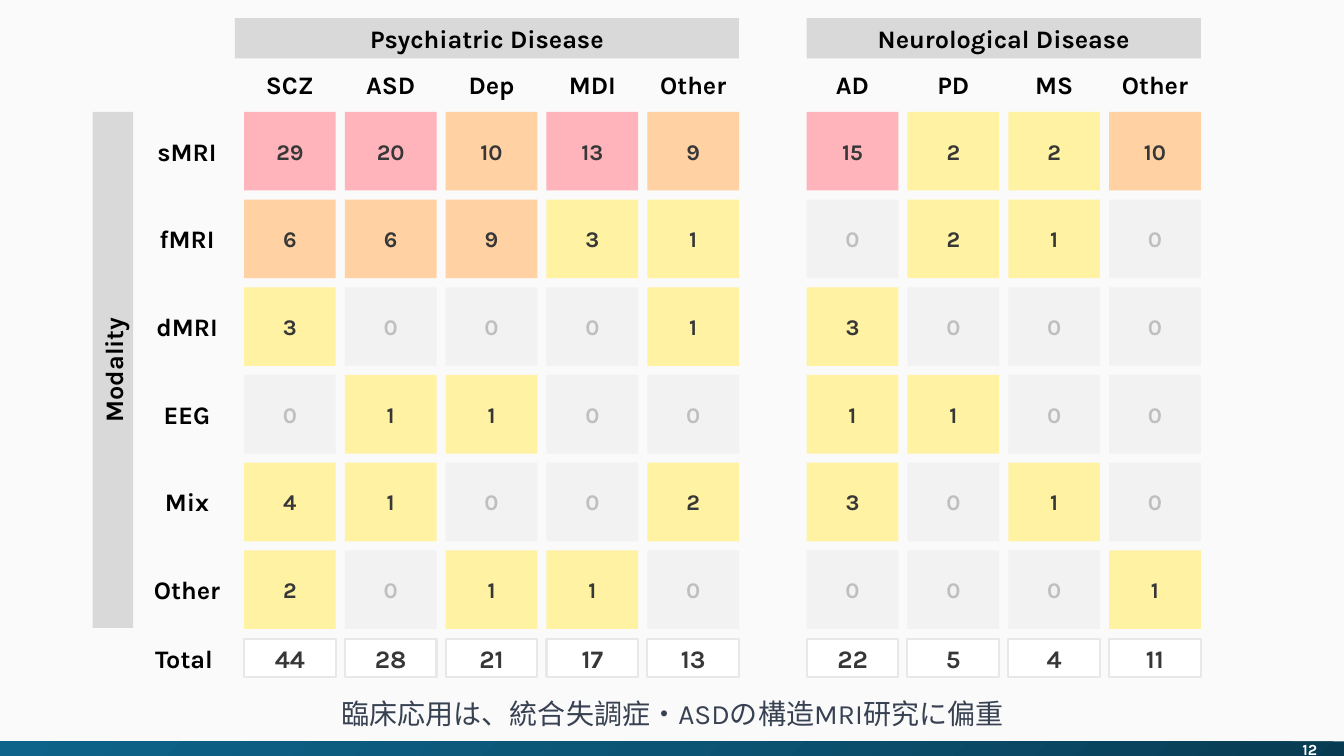
"""Build the slide counting studies by imaging modality and disease."""
import copy

import pptx
import pptx.dml.color
import pptx.enum.shapes
import pptx.enum.text
import pptx.oxml
import pptx.oxml.ns
import pptx.util

PX = 9144
LATIN, CJK = "Karla", "Noto Sans CJK JP"
COLORS = {
    "bg": "FAFAFA", "header": "D9D9D9", "black": "000000", "white": "FFFFFF",
    "count": "373737", "zero": "BFBFBF", "caption": "374151", "border": "E8E8E8",
    "none": "F2F2F2", "low": "FFF2A3", "mid": "FFD1A3", "high": "FFB3BA",
    "bar_dark": "083B52", "bar_mid": "0B5474", "bar_light": "0D638A",
}
SHAPES = pptx.enum.shapes.MSO_SHAPE
ANCHOR = pptx.enum.text.MSO_ANCHOR
FIT = pptx.enum.text.MSO_AUTO_SIZE


def rgb(name):
    return pptx.dml.color.RGBColor.from_string(COLORS[name])


def add_box(x, y, w, h, runs, size=18, color="black", bold=True, fill=None, line=None, fit=FIT.NONE):
    at = [v * PX for v in (x, y, w, h)]
    if fill:
        s = slide.shapes.add_shape(SHAPES.RECTANGLE, *at)
        s.shadow.inherit = False
        s.fill.solid()
        s.fill.fore_color.rgb = rgb(fill)
        if line:
            s.line.color.rgb = rgb(line)
            s.line.width = pptx.util.Pt(1.5)
        else:
            s.line.fill.background()
    else:
        s = slide.shapes.add_textbox(*at)
    tf = s.text_frame
    frame = {"word_wrap": True, "auto_size": fit,
             "vertical_anchor": ANCHOR.MIDDLE if fill else ANCHOR.TOP}
    for key, value in frame.items():
        setattr(tf, key, value)
    p = tf.paragraphs[0]
    p.alignment = pptx.enum.text.PP_ALIGN.CENTER
    for text, font in runs:
        r = p.add_run()
        r.text = text
        style = {"name": font, "size": pptx.util.Pt(size), "bold": bold}
        for key, value in style.items():
            setattr(r.font, key, value)
        r.font.color.rgb = rgb(color)
        if font == CJK:
            ea = pptx.oxml.parse_xml(f'<a:ea {pptx.oxml.ns.nsdecls("a")} typeface="{CJK}"/>')
            r.font._element.find(pptx.oxml.ns.qn("a:latin")).addnext(ea)
    return s


prs = pptx.Presentation()
prs.slide_width, prs.slide_height = 1333 * PX, 750 * PX
slide = prs.slides.add_slide(prs.slide_layouts[6])
slide.background.fill.solid()
slide.background.fill.fore_color.rgb = rgb("bg")

bar = slide.shapes.add_shape(SHAPES.ROUNDED_RECTANGLE, 662 * PX, 67 * PX, 16 * PX, 1353 * PX)
bar.rotation = 270
bar.shadow.inherit = False
bar.line.fill.background()
bar.fill.gradient()
bar.fill.gradient_angle = 45
first = bar._element.spPr.find(".//" + pptx.oxml.ns.qn("a:gs"))
first.addnext(copy.deepcopy(first))
for stop, position, name in zip(bar.fill.gradient_stops, (0, 0.5, 1), ("bar_dark", "bar_mid", "bar_light")):
    stop.position = position
    stop.color.rgb = rgb(name)

caption = [("臨床応用は、統合失調症・", CJK), ("ASD", LATIN), ("の構造", CJK), ("MRI", LATIN), ("研究に偏重", CJK)]
add_box(237, 686, 860, 44, caption, size=20, color="caption", bold=False, fit=FIT.SHAPE_TO_FIT_TEXT)
add_box(1265, 729, 68, 29, [("12", LATIN)], size=11, color="white", fit=FIT.SHAPE_TO_FIT_TEXT)

modalities = ["sMRI", "fMRI", "dMRI", "EEG", "Mix", "Other"]
groups = [
    ("Psychiatric Disease", 233, 500, 242, {
        "SCZ": [29, 6, 3, 0, 4, 2],
        "ASD": [20, 6, 0, 1, 1, 0],
        "Dep": [10, 9, 0, 1, 0, 1],
        "MDI": [13, 3, 0, 0, 0, 1],
        "Other": [9, 1, 1, 0, 2, 0],
    }),
    ("Neurological Disease", 800, 391, 800, {
        "AD": [15, 0, 3, 1, 3, 0],
        "PD": [2, 2, 0, 1, 0, 0],
        "MS": [2, 1, 0, 0, 1, 0],
        "Other": [10, 0, 0, 0, 0, 1],
    }),
]
PITCH_X, PITCH_Y, CELL_W, CELL_H, GRID_TOP = 100, 87, 91, 78, 111
LEVELS = [(0, "none"), (5, "low"), (10, "mid"), (99, "high")]

for i, modality in enumerate(modalities):
    add_box(126, 130 + i * PITCH_Y, 119, 40, [(modality, LATIN)])
add_box(123, 633, 119, 40, [("Total", LATIN)])

for title, left, width, grid_left, columns in groups:
    add_box(left, 18, width, 40, [(title, LATIN)], fill="header")
    for col, (disease, counts) in enumerate(columns.items()):
        x = grid_left + col * PITCH_X
        add_box(x, 64, CELL_W, 40, [(disease, LATIN)])
        for row, count in enumerate(counts):
            level = next(name for limit, name in LEVELS if count <= limit)
            add_box(x, GRID_TOP + row * PITCH_Y, CELL_W, CELL_H, [(str(count), LATIN)], size=16,
                    color="count" if count else "zero", fill=level)
        add_box(x, 634, CELL_W, 38, [(str(sum(counts)), LATIN)], color="count", fill="white", line="border")

add_box(-144, 347, 512, 40, [("Modality", LATIN)], fill="header").rotation = 270

prs.save("out.pptx")
